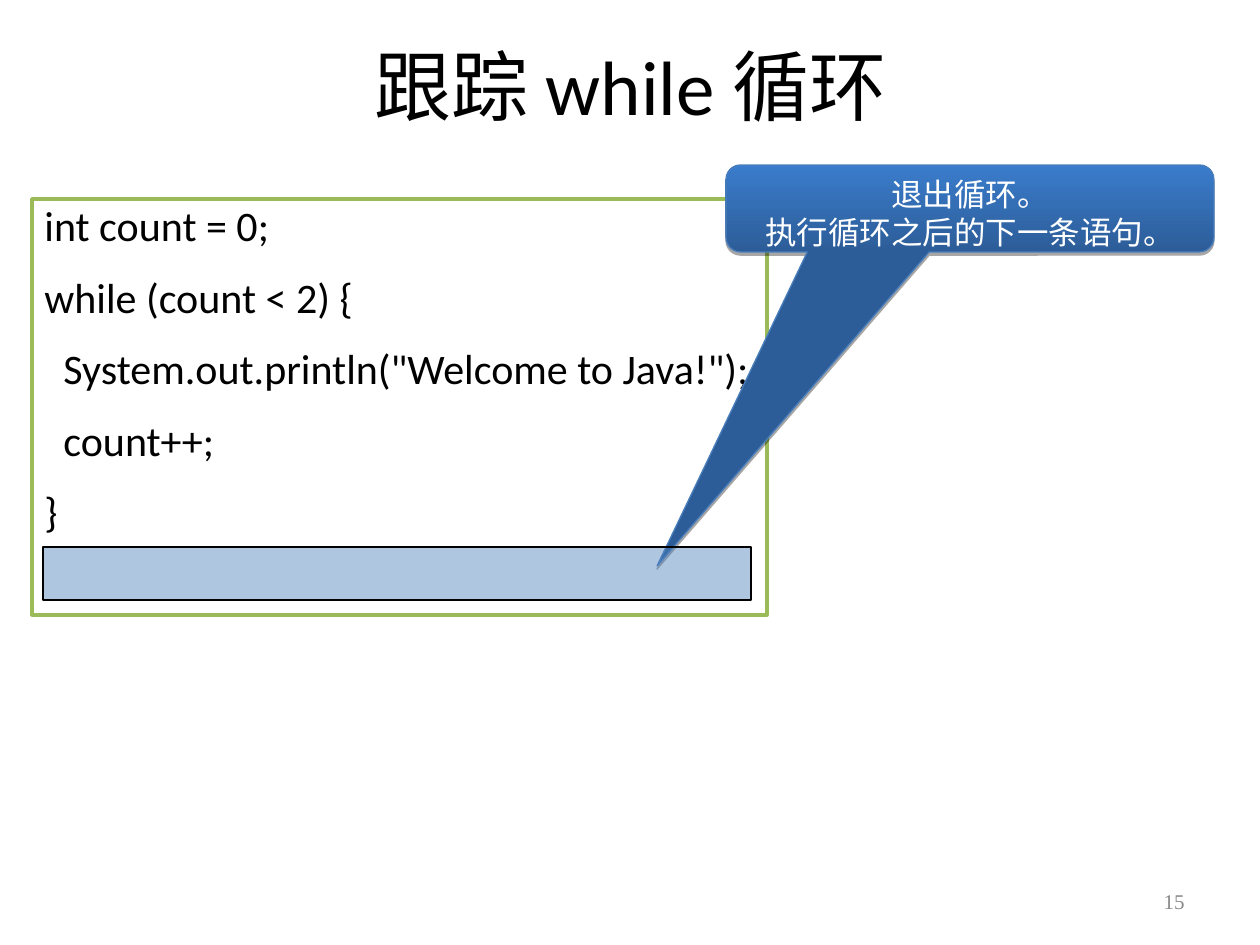
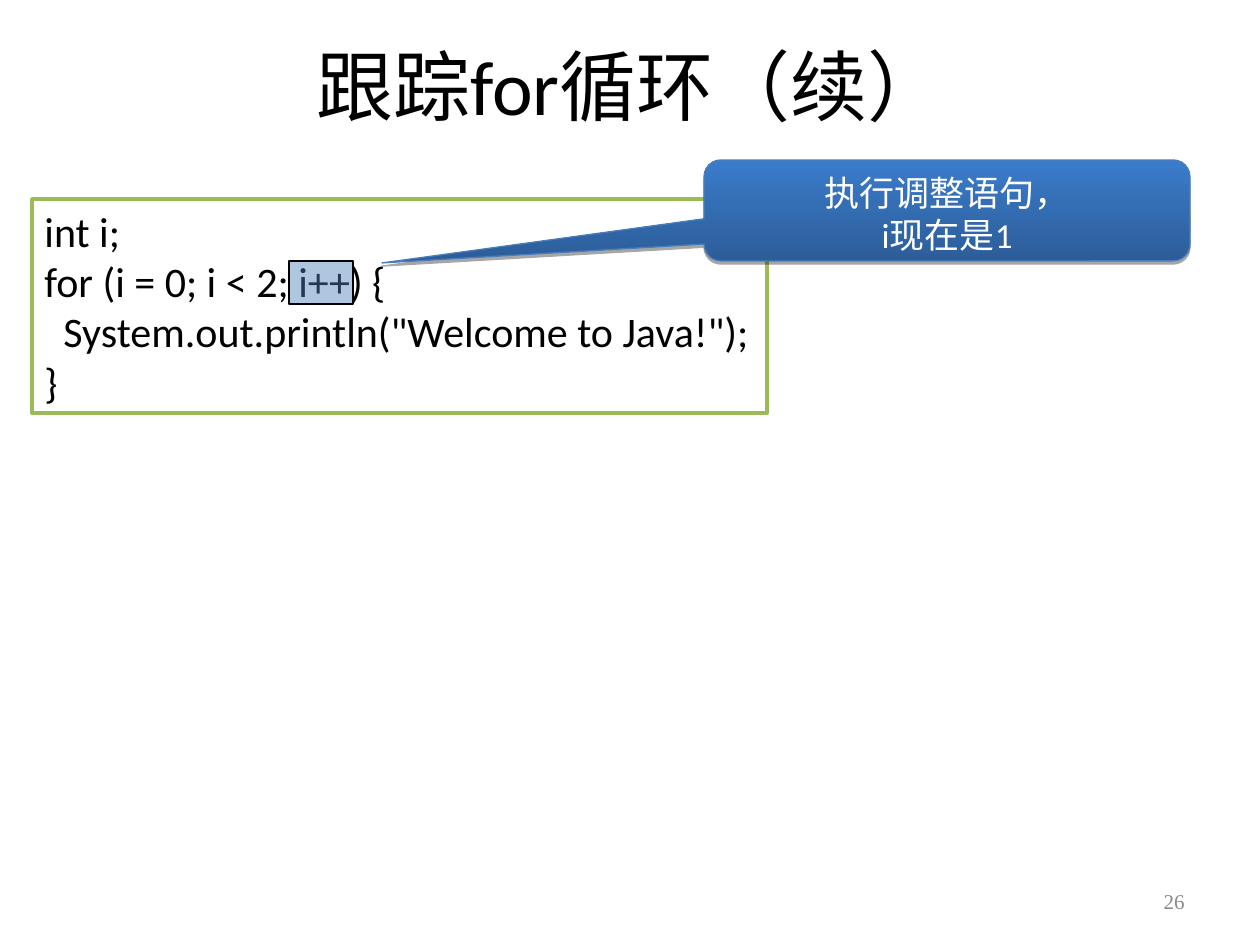
from lxml import etree
from pptx import Presentation
from pptx.dml.color import RGBColor
from pptx.enum.shapes import MSO_SHAPE
from pptx.enum.text import MSO_ANCHOR, PP_ALIGN
from pptx.oxml import parse_xml
from pptx.oxml.ns import nsdecls, qn
from pptx.util import Pt

PX = 914400 / 126
SLIDE_W, SLIDE_H = 1260, 945

BLACK = RGBColor(0x00, 0x00, 0x00)
WHITE = RGBColor(0xFF, 0xFF, 0xFF)
GRAY = RGBColor(0x89, 0x89, 0x89)
GREEN = RGBColor(0x9B, 0xBB, 0x59)
HIGHLIGHT_BLUE = RGBColor(0x4F, 0x81, 0xBD)
CALLOUT_DARK = RGBColor(0x2C, 0x5D, 0x98)
CALLOUT_LIGHT = RGBColor(0x3A, 0x7C, 0xCB)
CALLOUT_LINE = RGBColor(0x4A, 0x7E, 0xBB)

RECT = MSO_SHAPE.RECTANGLE
CALLOUT = MSO_SHAPE.ROUNDED_RECTANGULAR_CALLOUT
TOP, MIDDLE = MSO_ANCHOR.TOP, MSO_ANCHOR.MIDDLE
LEFT, CENTER, RIGHT = PP_ALIGN.LEFT, PP_ALIGN.CENTER, PP_ALIGN.RIGHT

BODY_FONT, NUMBER_FONT = "Calibri", "Times New Roman"
TITLE_BOX = (95, 32, 1071, 105)
NUMBER_BOX = (903, 876, 294, 50)
CODE_LEFT, CODE_TOP, CODE_W = 32, 199, 735
SHADOW = (
    f'<a:effectLst {nsdecls("a")}><a:outerShdw blurRad="0" dist="22860" '
    'dir="5400000" rotWithShape="0"><a:srgbClr val="000000">'
    '<a:alpha val="35000"/></a:srgbClr></a:outerShdw></a:effectLst>'
)


def emu(*lengths):
    return [round(n * PX) for n in lengths]


def write(tf, lines, size, color, align, anchor, font=BODY_FONT,
          line_spacing=1.0, gap=0):
    tf.word_wrap = True
    tf.vertical_anchor = anchor
    for i, line in enumerate(lines):
        p = tf.add_paragraph() if i else tf.paragraphs[0]
        p.text = line
        p.alignment = align
        p.line_spacing = line_spacing
        p.space_before = Pt(gap if i else 0)
        p.font.name = font
        p.font.size = Pt(size)
        p.font.color.rgb = color


def add_box(slide, kind, box, line_color, line_width):
    sp = slide.shapes.add_shape(kind, *emu(*box))
    sp.shadow.inherit = False
    sp.line.color.rgb = line_color
    sp.line.width = Pt(line_width)
    return sp


def add_title(slide, text):
    title = slide.shapes.title
    title.left, title.top, title.width, title.height = emu(*TITLE_BOX)
    write(title.text_frame, [text], 44, BLACK, CENTER, MIDDLE)


def add_page_number(slide, number):
    sp = slide.shapes.add_textbox(*emu(*NUMBER_BOX))
    write(sp.text_frame, [str(number)], 12, GRAY, RIGHT, MIDDLE, NUMBER_FONT)


def add_code(slide, lines, height, line_spacing, gap):
    sp = add_box(slide, RECT, (CODE_LEFT, CODE_TOP, CODE_W, height), GREEN, 2)
    sp.fill.solid()
    sp.fill.fore_color.rgb = WHITE
    write(sp.text_frame, lines, 24, BLACK, LEFT, TOP,
          line_spacing=line_spacing, gap=gap)


def add_callout(slide, box, tip, lines, size):
    """Add a rounded callout whose pointer ends at tip, in slide px."""
    x, y, w, h = box
    sp = add_box(slide, CALLOUT, box, CALLOUT_LINE, 0.75)
    sp.adjustments[0] = (tip[0] - x) / w - 0.5
    sp.adjustments[1] = (tip[1] - y) / h - 0.5
    sp.fill.gradient()
    sp.fill.gradient_angle = 90
    for stop, color in zip(sp.fill.gradient_stops,
                           (CALLOUT_DARK, CALLOUT_LIGHT)):
        stop.color.rgb = color
    sp_pr = sp._element.spPr
    sp_pr.replace(sp_pr.find(qn("a:effectLst")), parse_xml(SHADOW))
    write(sp.text_frame, lines, size, WHITE, CENTER, TOP)


def add_highlight(slide, dx, dy, w, h):
    """Mark part of the code; dx and dy count from the code box's corner."""
    sp = add_box(slide, RECT, (CODE_LEFT + dx, CODE_TOP + dy, w, h), BLACK, 1)
    sp.fill.solid()
    sp.fill.fore_color.rgb = HIGHLIGHT_BLUE
    color = sp._element.spPr.find(qn("a:solidFill"))[0]
    etree.SubElement(color, qn("a:alpha"), val="45000")


def add_trace_slide(prs, title, number, code, callout, highlight):
    slide = prs.slides.add_slide(prs.slide_layouts[5])
    add_title(slide, title)
    add_page_number(slide, number)
    add_code(slide, **code)
    add_callout(slide, **callout)
    add_highlight(slide, *highlight)


def main():
    prs = Presentation()
    prs.slide_width, prs.slide_height = emu(SLIDE_W, SLIDE_H)
    add_trace_slide(
        prs, "跟踪 while 循环", 15,
        code=dict(
            lines=["int count = 0;",
                   "while (count < 2) {",
                   '  System.out.println("Welcome to Java!");',
                   "  count++;",
                   "}"],
            height=416, line_spacing=0.9, gap=15),
        callout=dict(
            box=(726, 165, 488, 87), tip=(657, 566), size=18,
            lines=["退出循环。", "执行循环之后的下一条语句。"]),
        highlight=(11, 348, 708, 53))
    add_trace_slide(
        prs, "跟踪for循环（续）", 26,
        code=dict(
            lines=["int i;",
                   "for (i = 0; i < 2; i++) {",
                   '  System.out.println("Welcome to Java!");',
                   "}"],
            height=214, line_spacing=1.0, gap=0),
        callout=dict(
            box=(704, 160, 486, 101), tip=(382, 263), size=20,
            lines=["执行调整语句，", "i现在是1"]),
        highlight=(257, 62, 64, 43))
    prs.save("out.pptx")


if __name__ == "__main__":
    main()
